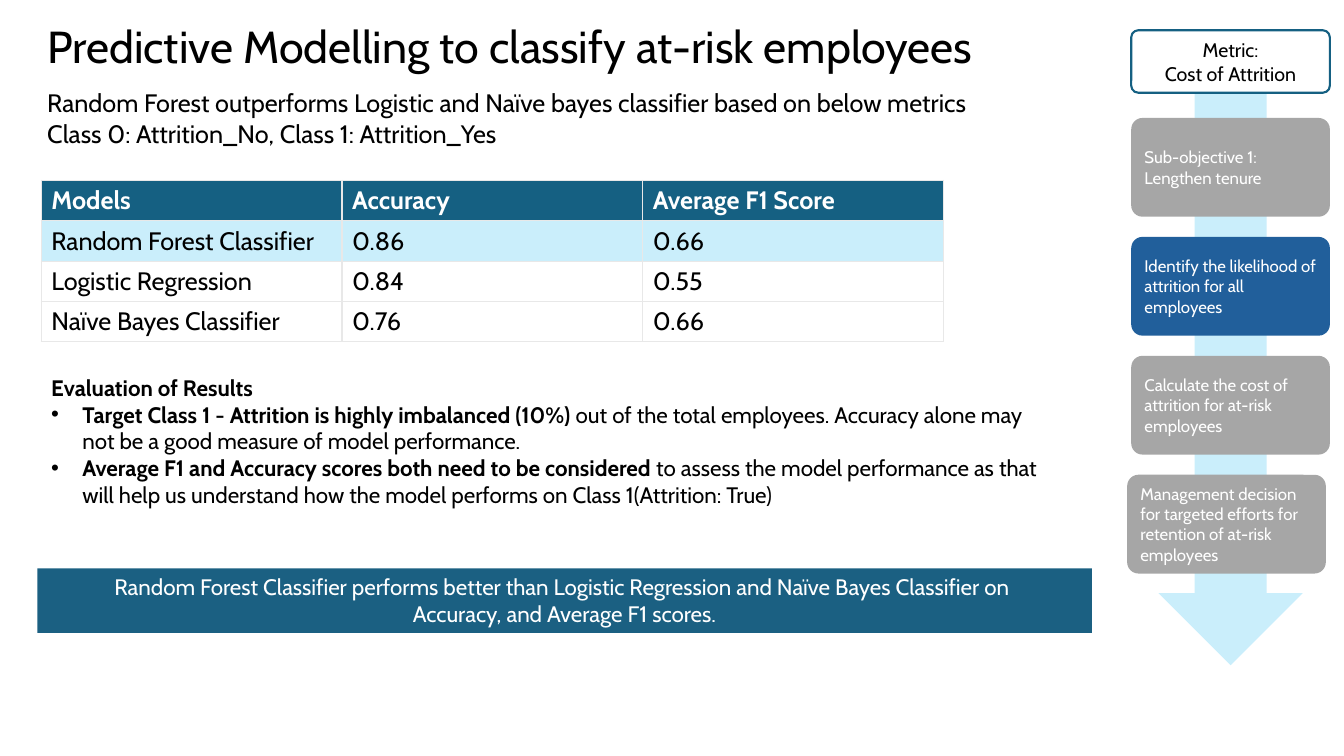
"""Build the slide on predictive modelling of at-risk employees."""
from lxml.etree import SubElement
from pptx import Presentation
from pptx.dml.color import RGBColor
from pptx.enum.shapes import MSO_SHAPE
from pptx.enum.text import MSO_ANCHOR, PP_ALIGN
from pptx.oxml.ns import qn
from pptx.util import Inches, Pt

BLACK = RGBColor(0x00, 0x00, 0x00)
WHITE = RGBColor(0xFF, 0xFF, 0xFF)
TEAL = RGBColor(0x15, 0x60, 0x82)
BAND = RGBColor(0x1B, 0x60, 0x82)
PALE = RGBColor(0xCA, 0xEE, 0xFB)
GREY = RGBColor(0xA6, 0xA6, 0xA6)
BLUE = RGBColor(0x21, 0x5F, 0x9B)
RULE = RGBColor(0xE8, 0xE8, 0xE8)

TITLE = ["Predictive Modelling to classify at-risk employees"]
INTRO = [
    "Random Forest outperforms Logistic and Naïve bayes classifier based on below metrics",
    "Class 0: Attrition_No, Class 1: Attrition_Yes",
]
SCORES = [
    ("Models", "Accuracy ", "Average F1 Score"),
    ("Random Forest Classifier", "0.86", "0.66"),
    ("Logistic Regression", "0.84", "0.55"),
    ("Naïve Bayes Classifier", "0.76", "0.66"),
]
HEAD = "Evaluation of Results"
POINTS = [
    ("Target Class 1 - Attrition is highly imbalanced (10%) ",
     "out of the total employees. Accuracy alone may not be a good measure of model performance."),
    ("Average F1 and Accuracy scores both need to be considered ",
     "to assess the model performance as that will help us understand how the model "
     "performs on Class 1(Attrition: True)"),
]
RESULT = [
    "Random Forest Classifier performs better than Logistic Regression and Naïve Bayes Classifier on ",
    "Accuracy, and Average F1 scores.",
]
METRIC = ["Metric:", "Cost of Attrition"]
STEPS = [
    (11.22, GREY, ["Sub-objective 1:", "Lengthen tenure"]),
    (11.22, BLUE, ["Identify the likelihood of attrition for all employees"]),
    (11.22, GREY, ["Calculate the cost of attrition for at-risk employees"]),
    (11.18, GREY, ["Management decision for targeted efforts for retention of at-risk employees"]),
]
TOP, STEP = 1.17, 1.18


def style(font, size, color, bold=False):
    for key, val in {"name": "Cabin", "size": Pt(size), "bold": bold}.items():
        setattr(font, key, val)
    font.color.rgb = color


def write(frame, lines, size, color, align=PP_ALIGN.LEFT, anchor=MSO_ANCHOR.TOP):
    frame.word_wrap = True
    frame.vertical_anchor = anchor
    for i, line in enumerate(lines):
        para = frame.paragraphs[0] if i == 0 else frame.add_paragraph()
        para.alignment = align
        run = para.add_run()
        run.text = line
        style(run.font, size, color)


def add_text(slide, box):
    return slide.shapes.add_textbox(*map(Inches, box)).text_frame


def add_form(slide, kind, box, fill, line=None):
    form = slide.shapes.add_shape(kind, *map(Inches, box))
    form.shadow.inherit = False
    form.fill.solid()
    form.fill.fore_color.rgb = fill
    if line is None:
        form.line.fill.background()
    else:
        form.line.color.rgb = line
        form.line.width = Pt(1.5)
    if kind == MSO_SHAPE.ROUNDED_RECTANGLE:
        form.adjustments[0] = 0.114
    return form


def add_edges(cell):
    props = cell._tc.get_or_add_tcPr()
    for side in ("lnL", "lnR", "lnT", "lnB"):
        edge = SubElement(props, qn(f"a:{side}"), w=str(Pt(1)))
        paint = SubElement(edge, qn("a:solidFill"))
        SubElement(paint, qn("a:srgbClr"), val=str(RULE))


def add_scores(slide):
    rows, cols = len(SCORES), len(SCORES[0])
    box = map(Inches, (0.41, 1.79, 8.95, 0.36 * rows))
    table = slide.shapes.add_table(rows, cols, *box).table
    fills = [TEAL, PALE] + [WHITE] * (rows - 2)
    for r, row in enumerate(SCORES):
        for c, text in enumerate(row):
            cell = table.cell(r, c)
            add_edges(cell)
            cell.fill.solid()
            cell.fill.fore_color.rgb = fills[r]
            cell.text = text
            run = cell.text_frame.paragraphs[0].runs[0]
            style(run.font, 18, BLACK if r else WHITE, r == 0)


def add_points(slide):
    frame = add_text(slide, (0.41, 3.66, 10.06, 1.44))
    write(frame, [HEAD], 16, BLACK)
    frame.paragraphs[0].runs[0].font.bold = True
    for point in POINTS:
        para = frame.add_paragraph()
        props = para._p.get_or_add_pPr()
        props.set("marL", str(Inches(0.31)))
        props.set("indent", str(-Inches(0.31)))
        SubElement(props, qn("a:buFont"), typeface="Arial")
        SubElement(props, qn("a:buChar"), char="•")
        for text, bold in zip(point, (True, False)):
            run = para.add_run()
            run.text = text
            style(run.font, 16, BLACK, bold)


def add_flow(slide):
    add_form(slide, MSO_SHAPE.DOWN_ARROW, (11.49, 0.74, 1.43, 5.86), PALE)
    card = MSO_SHAPE.ROUNDED_RECTANGLE
    for i, (left, fill, lines) in enumerate(STEPS):
        form = add_form(slide, card, (left, TOP + i * STEP, 1.97, 0.98), fill)
        write(form.text_frame, lines, 12, WHITE, anchor=MSO_ANCHOR.MIDDLE)
    form = add_form(slide, card, (11.22, 0.3, 1.97, 0.62), WHITE, TEAL)
    write(form.text_frame, METRIC, 14, BLACK, PP_ALIGN.CENTER, MSO_ANCHOR.MIDDLE)


def main():
    deck = Presentation()
    deck.slide_width, deck.slide_height = Inches(13.33), Inches(7.5)
    slide = deck.slides.add_slide(deck.slide_layouts[6])
    title = add_text(slide, (0.37, 0.13, 9.9, 0.71))
    write(title, TITLE, 32, BLACK, anchor=MSO_ANCHOR.MIDDLE)
    title.paragraphs[0].line_spacing = 0.9
    add_scores(slide)
    write(add_text(slide, (0.37, 0.82, 11.71, 0.71)), INTRO, 18, BLACK)
    add_points(slide)
    band = add_form(slide, MSO_SHAPE.RECTANGLE, (0.37, 5.64, 10.46, 0.64), BAND)
    write(band.text_frame, RESULT, 16, WHITE, PP_ALIGN.CENTER)
    add_flow(slide)
    deck.save("out.pptx")


if __name__ == "__main__":
    main()
